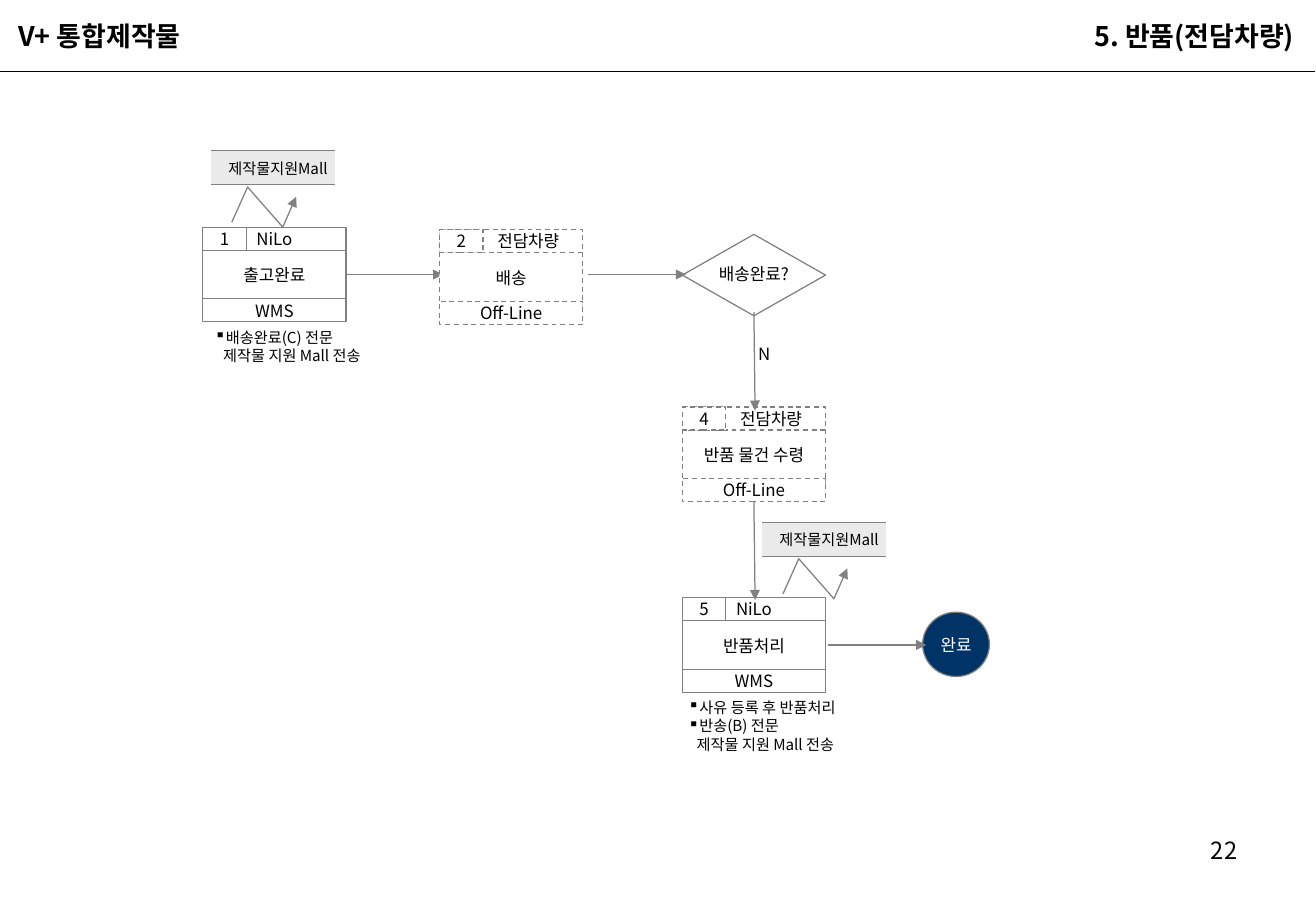
from lxml import etree
from pptx import Presentation
from pptx.dml.color import RGBColor
from pptx.enum.dml import MSO_LINE
from pptx.enum.shapes import MSO_CONNECTOR, MSO_SHAPE
from pptx.enum.text import MSO_ANCHOR, PP_ALIGN
from pptx.oxml.ns import qn
from pptx.util import Inches, Pt

FONT = "Noto Sans CJK KR"
COLORS = {"text": "000000", "line": "808080", "fill": "FFFFFF",
          "mall": "EAEAEA", "done": "003366"}
CENTER, LEFT, RIGHT = PP_ALIGN.CENTER, PP_ALIGN.LEFT, PP_ALIGN.RIGHT


def rgb(name):
    return RGBColor.from_string(COLORS[name])


def sub(parent, tag, **attrs):
    return etree.SubElement(parent, qn(tag), attrs)


def write(p, text, size=10, align=CENTER, color="text", bold=False):
    p.add_run().text = text
    p.alignment = align
    p.font.size, p.font.bold, p.font.name = Pt(size), bold, FONT
    p.font.color.rgb = rgb(color)
    # The East Asian typeface follows the Latin one
    sub(p._p.pPr.find(qn("a:defRPr")), "a:ea", typeface=FONT)


def set_insets(tf, left, top, right, bottom):
    tf.margin_left, tf.margin_top = Inches(left), Inches(top)
    tf.margin_right, tf.margin_bottom = Inches(right), Inches(bottom)


def style_line(line, color="line", arrow=False):
    line.color.rgb = rgb(color)
    line.width = Pt(0.75)
    if arrow:
        sub(line._get_or_add_ln(), "a:tailEnd", type="triangle")


def add_text(s, x, y, w, h, inset=(0.1, 0.05), wrap=True):
    tf = s.shapes.add_textbox(Inches(x), Inches(y), Inches(w), Inches(h)).text_frame
    tf.word_wrap = wrap
    set_insets(tf, *inset, *inset)
    return tf


def add_box(s, kind, x, y, w, h, text, fill="fill", color="text",
            dashed=False, inset=(0, 0, 0, 0)):
    sp = s.shapes.add_shape(kind, Inches(x), Inches(y), Inches(w), Inches(h))
    sp.shadow.inherit = False
    sp.fill.solid()
    sp.fill.fore_color.rgb = rgb(fill)
    style_line(sp.line)
    if dashed:
        sp.line.dash_style = MSO_LINE.DASH
    tf = sp.text_frame
    tf.word_wrap = False
    tf.vertical_anchor = MSO_ANCHOR.MIDDLE
    set_insets(tf, *inset)
    write(tf.paragraphs[0], text, color=color)
    return tf


def add_line(s, x1, y1, x2, y2, color="line", arrow=True):
    cx = s.shapes.add_connector(MSO_CONNECTOR.STRAIGHT, Inches(x1), Inches(y1),
                                Inches(x2), Inches(y2))
    style_line(cx.line, color, arrow)
    sub(cx._element.spPr, "a:effectLst")


def add_header(s, left_title, right_title):
    add_line(s, 0, 0.59, 10.83, 0.59, "text", arrow=False)
    inset = (0.07, 0.04)
    tf = add_text(s, 0.08, 0.12, 1.58, 0.34, inset, wrap=False)
    write(tf.paragraphs[0], left_title, 16, LEFT, bold=True)
    tf = add_text(s, 8.07, 0.12, 2.66, 0.35, inset)
    write(tf.paragraphs[0], right_title, 16, RIGHT, bold=True)


def add_step(s, x, y, number, owner, task, system, dashed=False):
    """Process box: number and owner on top, task, then system."""
    shift = 0.38 if dashed else 0.1
    for dy, w, h, text, left in [(0.15, 1.18, 0.49, task, 0.1),
                                 (0.59, 1.18, 0.19, system, 0.1),
                                 (0, 1.18, 0.19, owner, shift),
                                 (0, 0.36, 0.19, number, 0.1)]:
        add_box(s, MSO_SHAPE.RECTANGLE, x, y + dy, w, h, text, dashed=dashed,
                inset=(left, 0.05, 0.1, 0.05))


def add_mall(s, x, y):
    """Mall label with a zigzag signal arrow beneath it."""
    table = s.shapes.add_table(1, 1, Inches(x), Inches(y), Inches(1.02),
                               Inches(0.28)).table
    table.first_row = table.horz_banding = False
    cell = table.cell(0, 0)
    cell.vertical_anchor = MSO_ANCHOR.MIDDLE
    set_insets(cell, 0.1, 0.05, 0.02, 0.05)
    write(cell.text_frame.paragraphs[0], "제작물지원Mall", 9)
    # Borders on the top and bottom only
    tc_pr = cell._tc.get_or_add_tcPr()
    for side in "LRTB":
        ln = sub(tc_pr, f"a:ln{side}", w=str(Pt(0.45)))
        if side in "LR":
            sub(ln, "a:noFill")
        else:
            sub(sub(ln, "a:solidFill"), "a:srgbClr", val=COLORS["line"])
    cell.fill.solid()
    cell.fill.fore_color.rgb = rgb("mall")
    # Zigzag
    start, *rest = [(Inches(x + dx), Inches(y + dy)) for dx, dy in
                    [(0.17, 0.59), (0.3, 0.3), (0.59, 0.63), (0.7, 0.38)]]
    path = s.shapes.build_freeform(*start)
    path.add_line_segments(rest, close=False)
    sp = path.convert_to_shape()
    sp.shadow.inherit = False
    sp.fill.background()
    style_line(sp.line, arrow=True)


def add_note(s, x, y, h, bullets, tail):
    """Bulleted remarks closed by one unbulleted line."""
    tf = add_text(s, x, y, 1.88, h)
    for i, text in enumerate(bullets + [tail]):
        p = tf.add_paragraph() if i else tf.paragraphs[0]
        p_pr = p._p.get_or_add_pPr()
        if i < len(bullets):
            p_pr.set("marL", str(Inches(0.09)))
            p_pr.set("indent", str(Inches(-0.09)))
            sub(p_pr, "a:buChar", char="▪")
        else:
            p_pr.set("marL", str(Inches(0.07)))
        write(p, text, 9, LEFT)


def add_flow(s):
    # Shipping and delivery
    add_line(s, 2.84, 2.26, 3.65, 2.26)
    add_step(s, 1.67, 1.87, "1", "NiLo", "출고완료", "WMS")
    add_mall(s, 1.74, 1.24)
    add_note(s, 1.67, 2.65, 0.7, ["배송완료(C) 전문"], "제작물 지원 Mall 전송")
    add_step(s, 3.62, 1.89, "2", "전담차량", "배송", "Off-Line", dashed=True)

    # Decision
    tf = add_box(s, MSO_SHAPE.DIAMOND, 5.62, 1.93, 1.18, 0.67, "배송완료?")
    tf.paragraphs[0].line_spacing = 0.95
    add_line(s, 4.84, 2.26, 5.65, 2.26)
    p = add_text(s, 6.02, 2.76, 0.55, 0.29).paragraphs[0]
    write(p, "N")
    p.line_spacing = 1.1

    # Return
    add_step(s, 5.62, 3.35, "4", "전담차량", "반품 물건 수령", "Off-Line", dashed=True)
    add_step(s, 5.62, 4.92, "5", "NiLo", "반품처리", "WMS")
    add_line(s, 6.21, 2.57, 6.22, 3.38)
    add_line(s, 6.21, 4.13, 6.22, 4.94)
    add_mall(s, 6.28, 4.3)
    add_note(s, 5.57, 5.7, 0.57, ["사유 등록 후 반품처리", "반송(B) 전문"],
             "제작물 지원 Mall 전송")

    # Finish
    add_box(s, MSO_SHAPE.OVAL, 7.6, 5.04, 0.55, 0.53, "완료", "done", "fill")
    add_line(s, 6.82, 5.31, 7.63, 5.31)


def main():
    prs = Presentation()
    prs.slide_width, prs.slide_height = Inches(10.84), Inches(7.5)
    s = prs.slides.add_slide(prs.slide_layouts[6])
    add_header(s, "V+ 통합제작물", "5. 반품(전담차량)")
    add_flow(s)
    # Page number
    write(add_text(s, 7.76, 6.83, 2.53, 0.52).paragraphs[0], "22", 14, RIGHT)
    prs.save("out.pptx")


if __name__ == "__main__":
    main()
